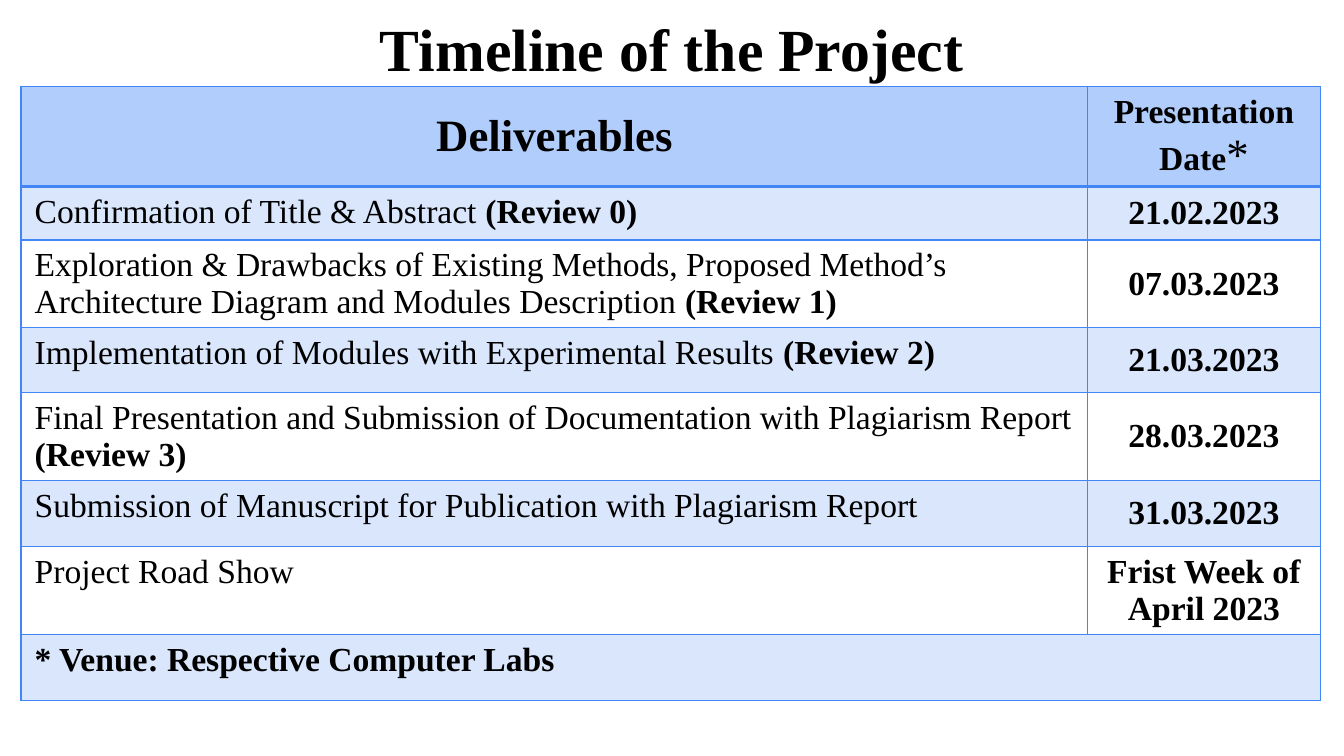
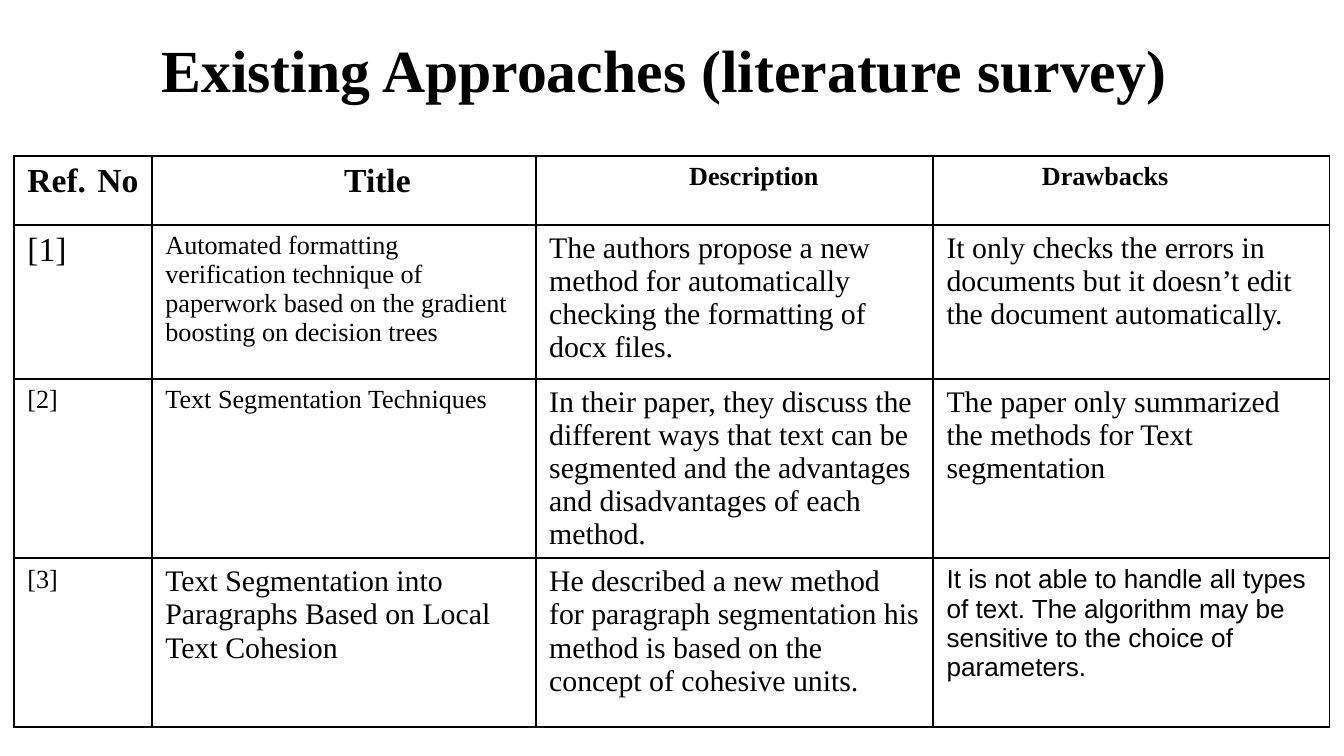
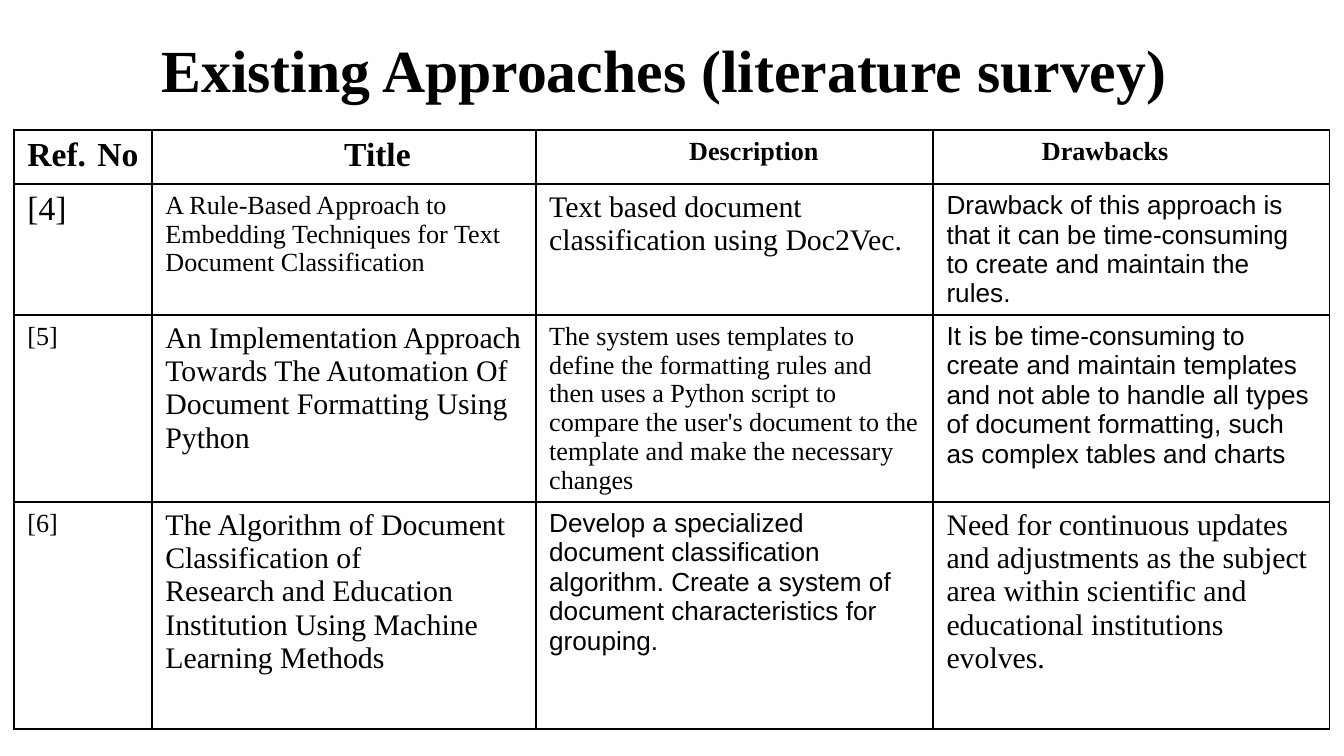
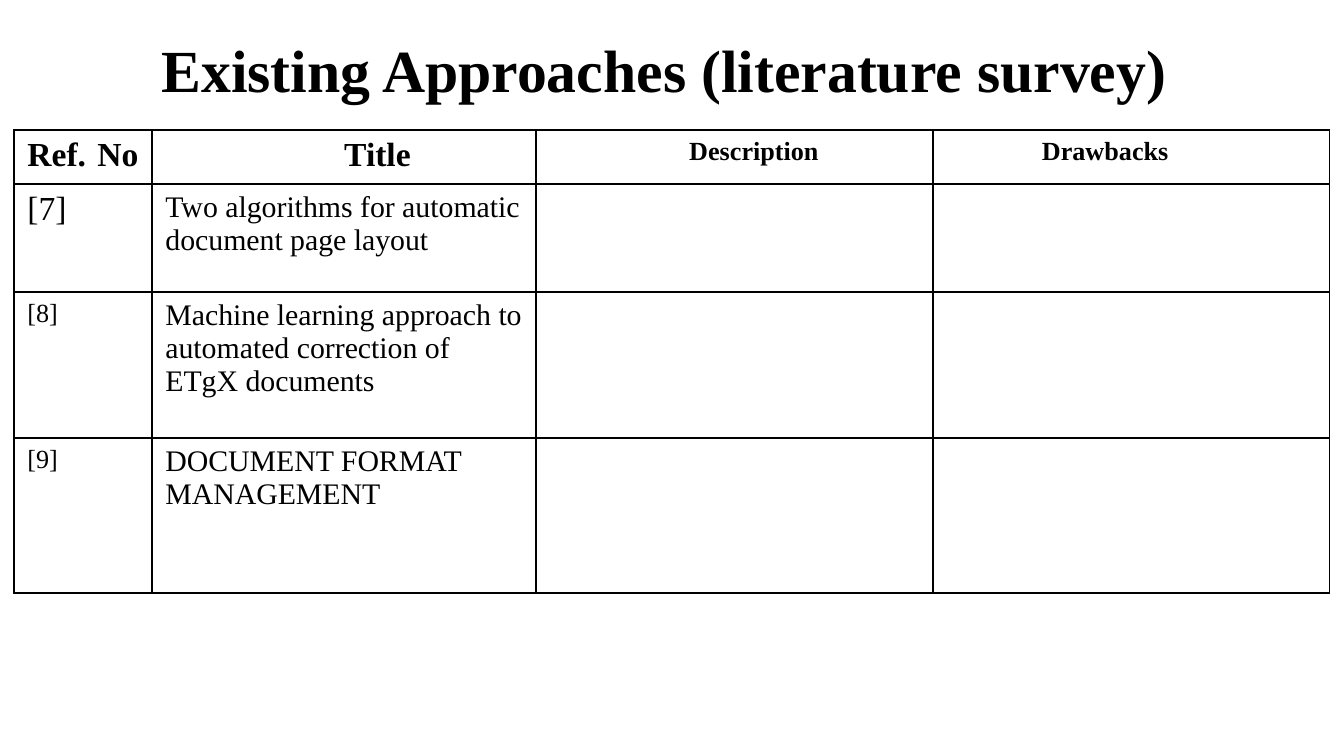
from lxml import etree
from pptx import Presentation
from pptx.dml.color import RGBColor
from pptx.enum.text import MSO_ANCHOR as ANCHOR, PP_ALIGN as ALIGN
from pptx.oxml.ns import qn
from pptx.util import Pt

COLORS = {"ink": "000000", "blue": "4285F4", "header": "B1CDFB"}
SERIF, SANS = "Times New Roman", "Arial"
SMALL, MEDIUM, PLAIN = (14, SERIF), (16, SERIF), (14, SANS)
PAD = 7.2

TIMELINE = [
    ("Confirmation of Title & Abstract ", "(Review 0)", "21.02.2023"),
    ("Exploration & Drawbacks of Existing Methods, Proposed Method’s "
     "Architecture Diagram and Modules Description ", "(Review 1)", "07.03.2023"),
    ("Implementation of Modules with Experimental Results ", "(Review 2)", "21.03.2023"),
    ("Final Presentation and Submission of Documentation with Plagiarism Report ",
     "(Review 3)", "28.03.2023"),
    ("Submission of Manuscript for Publication with Plagiarism Report", "", "31.03.2023"),
    ("Project Road Show", "", "Frist Week of April 2023"),
    ("", "* Venue: Respective Computer Labs", ""),
]
TIMELINE_BOX = (11.4, 46.4, 696, 328.9)
TIMELINE_HEIGHTS = [53.6, 28.4, 47.1, 34.8, 47.1, 35.4, 47.1, 35.4]

# Heading, size, alignment, extra left margin, extra right margin
SURVEY_HEADS = [
    ("Ref. No ", 18, ALIGN.JUSTIFY, 0, 0),
    ("Title", 18, ALIGN.CENTER, 36, 0),
    ("Description", 14, ALIGN.CENTER, 21, 0),
    ("Drawbacks", 14, ALIGN.CENTER, 0, 28),
]
SURVEY_WIDTHS = [73.9, 205.6, 212.9, 212.4]

# Table top, row heights, first reference number, (style, paragraphs...) per cell
SURVEYS = [
    (83.5, [37, 82.5, 95.9, 90.5], 1, [
        [(SMALL, "Automated formatting verification technique of paperwork based on "
                 "the gradient boosting on decision trees"),
         (MEDIUM, "The authors propose a new method for automatically checking the "
                  "formatting of docx files."),
         (MEDIUM, "It only checks the errors in documents but it doesn’t edit the "
                  "document automatically.")],
        [(SMALL, "Text Segmentation Techniques"),
         (MEDIUM, "In their paper, they discuss the different ways that text can be "
                  "segmented and the advantages and disadvantages of each method."),
         (MEDIUM, "The paper only summarized the methods for Text segmentation")],
        [(MEDIUM, "Text Segmentation into Paragraphs Based on Local Text Cohesion"),
         (MEDIUM, "He described a new method for paragraph segmentation his method is "
                  "based on the concept of cohesive units."),
         (PLAIN, "It is not able to handle all types of text. The algorithm may be "
                 "sensitive to the choice of parameters.")],
    ]),
    (69.8, [28.9, 69.6, 100.2, 121.6], 4, [
        [(SMALL, "A Rule-Based Approach to Embedding Techniques for Text Document "
                 "Classification"),
         (MEDIUM, "Text based document classification using Doc2Vec."),
         (PLAIN, "Drawback of this approach is that it can be time-consuming to create "
                 "and maintain the rules.")],
        [(MEDIUM, "An Implementation Approach Towards The Automation Of Document "
                  "Formatting Using Python"),
         (SMALL, "The system uses templates to define the formatting rules and then "
                 "uses a Python script to compare the user's document to the template "
                 "and make the necessary changes"),
         (PLAIN, "It is be time-consuming to create and maintain templates and not able "
                 "to handle all types of document formatting, such as complex tables "
                 "and charts")],
        [(MEDIUM, "The Algorithm of Document Classification of",
          "Research and Education Institution Using Machine", "Learning Methods"),
         (PLAIN, "Develop a specialized document classification algorithm. Create a "
                 "system of document characteristics for grouping."),
         (MEDIUM, "Need for continuous updates and adjustments as the subject area "
                  "within scientific and educational institutions evolves.")],
    ]),
    (69.8, [28.9, 57.9, 78.2, 83], 7, [
        [(MEDIUM, "Two algorithms for automatic document page layout")],
        [(MEDIUM, "Machine learning approach to automated correction of ETgX documents")],
        [(MEDIUM, "DOCUMENT FORMAT MANAGEMENT")],
    ]),
]


def set_font(font, size, name=SERIF, bold=False):
    font.size, font.name, font.bold = Pt(size), name, bold
    font.color.rgb = RGBColor.from_string(COLORS["ink"])


def add_title(prs, text, box):
    """Add a slide with a titled top band and return the slide."""
    slide = prs.slides.add_slide(prs.slide_layouts[5])
    sp = slide.shapes.title
    sp.left, sp.top, sp.width, sp.height = map(Pt, box)
    tf = sp.text_frame
    tf.word_wrap, tf.vertical_anchor = True, ANCHOR.TOP
    tf.margin_left = tf.margin_right = tf.margin_top = tf.margin_bottom = Pt(PAD)
    tf.text = text
    p = tf.paragraphs[0]
    p.alignment, p.line_spacing, p.space_before = ALIGN.CENTER, 1.0, Pt(0)
    set_font(p.font, 32, bold=True)
    return slide


def set_borders(cell, color):
    tcPr = cell._tc.get_or_add_tcPr()
    for i, side in enumerate("LRTB"):
        ln = etree.Element(qn(f"a:ln{side}"), w=str(Pt(1)))
        fill = etree.SubElement(ln, qn("a:solidFill"))
        etree.SubElement(fill, qn("a:srgbClr"), val=color)
        tcPr.insert(i, ln)


def set_fill(cell, color, alpha=100):
    cell.fill.solid()
    cell.fill.fore_color.rgb = RGBColor.from_string(color)
    if alpha < 100:
        clr = cell._tc.tcPr.find(f"{qn('a:solidFill')}/{qn('a:srgbClr')}")
        etree.SubElement(clr, qn("a:alpha"), val=str(alpha * 1000))


def add_grid(slide, box, widths, heights, color):
    """Add an unfilled table with thin borders."""
    table = slide.shapes.add_table(len(heights), len(widths), *map(Pt, box)).table
    table.first_row = table.horz_banding = False
    for col, width in zip(table.columns, widths):
        col.width = Pt(width)
    for row, height in zip(table.rows, heights):
        row.height = Pt(height)
    for cell in table.iter_cells():
        cell.fill.background()
        set_borders(cell, color)
    return table


def write(cell, lines, size, name=SERIF, bold=False, align=None):
    tf = cell.text_frame
    tf.text = "\n".join(lines)
    for p in tf.paragraphs:
        p.alignment = align
        set_font(p.font, size, name, bold)


def write_runs(cell, runs, align=None):
    """Write one paragraph from (text, size, bold) runs, skipping empty ones."""
    p = cell.text_frame.paragraphs[0]
    p.alignment = align
    for text, size, bold in runs:
        if text:
            r = p.add_run()
            r.text = text
            set_font(r.font, size, bold=bold)


def timeline_table(slide, box):
    date_width = 124.8
    table = add_grid(slide, box, [box[2] - date_width, date_width],
                     TIMELINE_HEIGHTS, COLORS["blue"])
    deliverables, date_head = table.cell(0, 0), table.cell(0, 1)
    write(deliverables, ["Deliverables"], 24, bold=True, align=ALIGN.CENTER)
    write_runs(date_head, [("Presentation Date", 18, True), ("*", 24, False)], ALIGN.CENTER)
    for j, cell in enumerate((deliverables, date_head)):
        cell.vertical_anchor = ANCHOR.MIDDLE
        set_fill(cell, COLORS["header"])
        # Both cells that share the line under the header carry its width
        cell._tc.tcPr.find(qn("a:lnB")).set("w", str(Pt(2)))
        table.cell(1, j)._tc.tcPr.find(qn("a:lnT")).set("w", str(Pt(2)))
    for i, (task, review, date) in enumerate(TIMELINE, 1):
        task_cell, date_cell = table.cell(i, 0), table.cell(i, 1)
        if i % 2:
            set_fill(task_cell, COLORS["blue"], 20)
            set_fill(date_cell, COLORS["blue"], 20)
        write_runs(task_cell, [(task, 18, False), (review, 18, True)])
        if date:
            write(date_cell, [date], 18, bold=True, align=ALIGN.CENTER)
            date_cell.vertical_anchor = ANCHOR.MIDDLE
        else:
            task_cell.merge(date_cell)


def survey_table(slide, left, top, heights, first_ref, rows):
    box = (left, top, sum(SURVEY_WIDTHS), sum(heights))
    table = add_grid(slide, box, SURVEY_WIDTHS, heights, COLORS["ink"])
    for j, (text, size, align, extra_left, extra_right) in enumerate(SURVEY_HEADS):
        cell = table.cell(0, j)
        cell.margin_left, cell.margin_right = Pt(PAD + extra_left), Pt(PAD + extra_right)
        write(cell, [text], size, bold=True, align=align)
    for i, row in enumerate(rows, 1):
        write(table.cell(i, 0), [f"[{first_ref + i - 1}]"], 18 if i == 1 else 14)
        for j, (style, *lines) in enumerate(row, 1):
            write(table.cell(i, j), lines, *style)


def main():
    prs = Presentation()
    prs.slide_width, prs.slide_height = Pt(720), Pt(405)
    slide = add_title(prs, "Timeline of the Project", (0, -0.7, 720, 62.6))
    timeline_table(slide, TIMELINE_BOX)
    for survey in SURVEYS:
        slide = add_title(prs, "Existing Approaches (literature survey) ", (0, 10.1, 720, 58.3))
        survey_table(slide, 7.5, *survey)
    prs.save("out.pptx")


if __name__ == "__main__":
    main()
